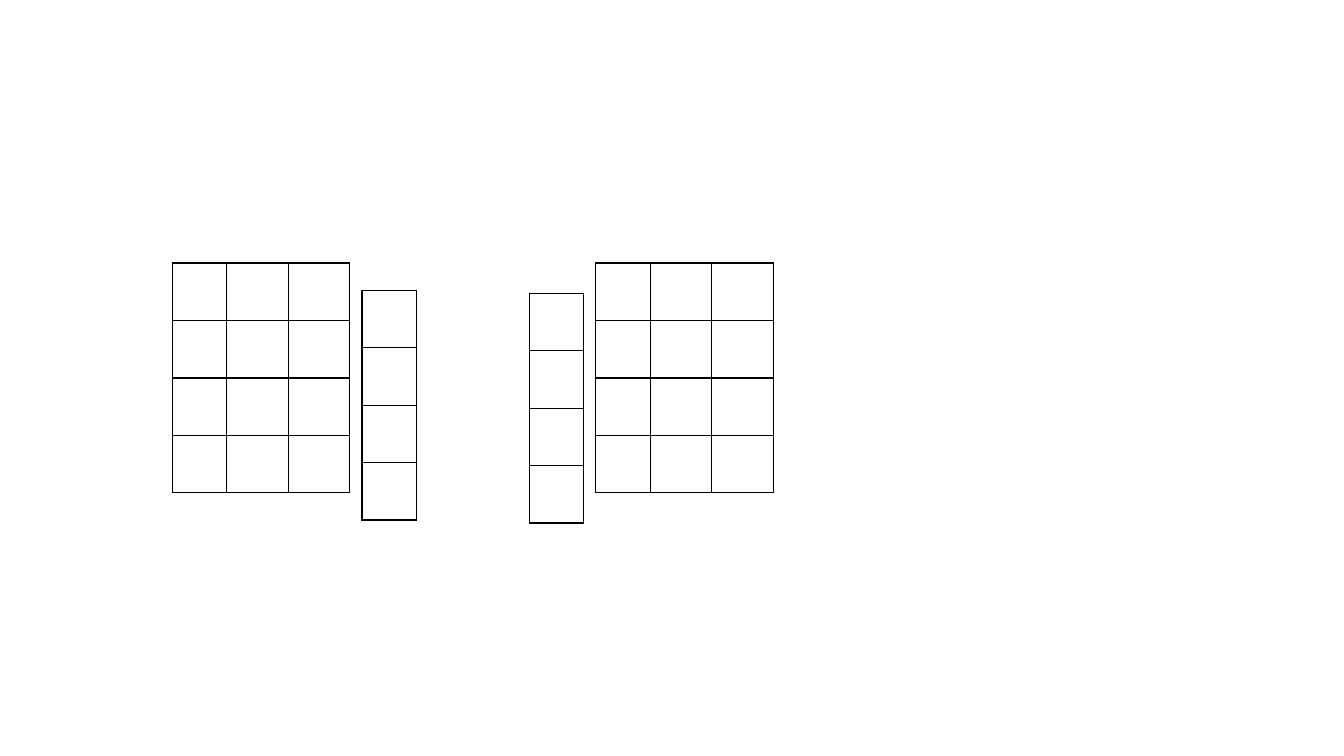
"""Build a slide with two 4 by 3 grids and two single-column grids."""
from lxml.etree import SubElement as Sub
from pptx import Presentation
from pptx.oxml.ns import qn
from pptx.util import Inches, Pt

COLORS = {"line": "000000"}
ROWS, HIGH = 4, 0.57
WIDE = [0.54, 0.61, 0.61]
SLIM = WIDE[:1]
GRIDS = [
    (1.71, 2.61, WIDE),
    (5.91, 2.61, WIDE),
    (3.59, 2.88, SLIM),
    (5.25, 2.91, SLIM),
]


def style(cell):
    props = cell._tc.get_or_add_tcPr()
    for side in ("L", "R", "T", "B"):
        line = Sub(props, qn(f"a:ln{side}"), w=str(Pt(1)))
        fill = Sub(line, qn("a:solidFill"))
        Sub(fill, qn("a:srgbClr"), val=COLORS["line"])
    cell.fill.background()
    font = cell.text_frame.paragraphs[0].font
    font.name, font.size = "Calibri", Pt(18)


deck = Presentation()
deck.slide_width, deck.slide_height = Inches(13.33), Inches(7.5)
slide = deck.slides.add_slide(deck.slide_layouts[6])

for left, top, cols in GRIDS:
    frame = slide.shapes.add_table(
        ROWS, len(cols), Inches(left), Inches(top),
        Inches(sum(cols)), Inches(ROWS * HIGH))
    table = frame.table
    table.first_row = table.horz_banding = False
    for col, width in zip(table.columns, cols):
        col.width = Inches(width)
    for row in table.rows:
        row.height = Inches(HIGH)
    for cell in table.iter_cells():
        style(cell)

deck.save("out.pptx")
